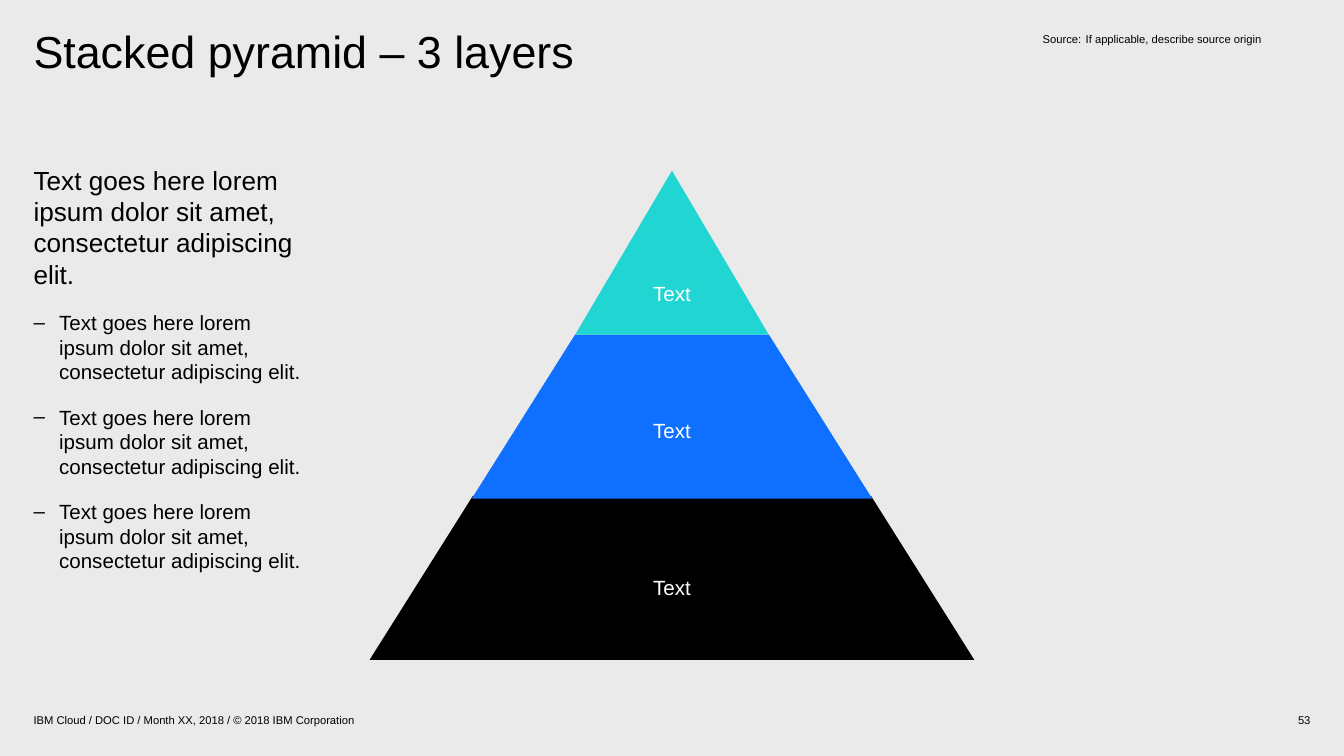
"""Build the three-layer stacked pyramid slide."""
from lxml import etree
from pptx import Presentation
from pptx.dml.color import RGBColor
from pptx.enum.shapes import MSO_SHAPE
from pptx.enum.text import MSO_ANCHOR, PP_ALIGN
from pptx.oxml.ns import qn
from pptx.util import Inches, Pt

TRIANGLE, TRAPEZOID = MSO_SHAPE.ISOSCELES_TRIANGLE, MSO_SHAPE.TRAPEZOID
TOP, MIDDLE = MSO_ANCHOR.TOP, MSO_ANCHOR.MIDDLE
LEFT, CENTER, RIGHT = PP_ALIGN.LEFT, PP_ALIGN.CENTER, PP_ALIGN.RIGHT
FONT = "Arial"
LOREM = "Text goes here lorem ipsum dolor sit amet, consectetur adipiscing elit."


def rgb(value):
    return RGBColor.from_string(value)


def add_text(sp, text, size=6, color="000000", align=LEFT, anchor=TOP,
             margins=(0, 0), spacing=1.0, before=0, hang=0, bullet=None, new=False):
    tf = sp.text_frame
    tf.word_wrap = True
    tf.vertical_anchor = anchor
    tf.margin_left = tf.margin_right = Inches(margins[0])
    tf.margin_top = tf.margin_bottom = Inches(margins[1])
    p = tf.add_paragraph() if new else tf.paragraphs[0]
    p.alignment = align
    p.line_spacing = spacing
    p.space_before = Pt(before)
    if hang:
        pPr = p._p.get_or_add_pPr()
        pPr.set("marL", str(Inches(hang)))
        pPr.set("indent", str(-Inches(hang)))
        if bullet:
            etree.SubElement(pPr, qn("a:buFont")).set("typeface", FONT)
            etree.SubElement(pPr, qn("a:buChar")).set("char", bullet)
    r = p.add_run()
    r.text = text
    r.font.name = FONT
    r.font.size = Pt(size)
    r.font.color.rgb = rgb(color)


prs = Presentation()
prs.slide_width, prs.slide_height = Inches(10), Inches(10 * 9 / 16)
s = prs.slides.add_slide(prs.slide_layouts[6])
s.background.fill.solid()
s.background.fill.fore_color.rgb = rgb("EAEAEA")

labels = [
    ((0.25, 0.22, 4.5, 0.98), "Stacked pyramid – 3 layers", dict(size=24, spacing=0.9)),
    ((7.5, 5.28, 2.25, 0.15), "53", dict(align=RIGHT, anchor=MIDDLE)),
    ((0.25, 5.28, 7, 0.15), "IBM Cloud / DOC ID / Month XX, 2018 / © 2018 IBM Corporation",
     dict(anchor=MIDDLE)),
    ((7.66, 0.2, 2.09, 0.53), "Source:\tIf applicable, describe source origin",
     dict(margins=(0.1, 0.04), hang=0.32)),
]
for box, text, fmt in labels:
    sp = s.shapes.add_textbox(*map(Inches, box))
    add_text(sp, text, **fmt)

body = s.shapes.add_textbox(Inches(0.25), Inches(1.22), Inches(2), Inches(3.78))
add_text(body, LOREM, size=14)
for _ in range(3):
    add_text(body, LOREM, size=11, before=11, hang=0.19, bullet="–", new=True)

center, height = 5, 1.22
layers = [
    (TRAPEZOID, 3.69, 4.5, "000000"),
    (TRAPEZOID, 2.49, 2.98, "0F6FFF"),
    (TRIANGLE, 1.27, 1.44, "20D5D2"),
]
for kind, top, width, color in layers:
    sp = s.shapes.add_shape(kind, Inches(center - width / 2), Inches(top),
                            Inches(width), Inches(height))
    if kind == TRAPEZOID:
        sp.adjustments[0] = 0.63
    sp.shadow.inherit = False
    sp.fill.solid()
    sp.fill.fore_color.rgb = rgb(color)
    sp.line.fill.background()
    add_text(sp, "Text", size=11, color="FFFFFF", align=CENTER, anchor=MIDDLE)

prs.save("out.pptx")
